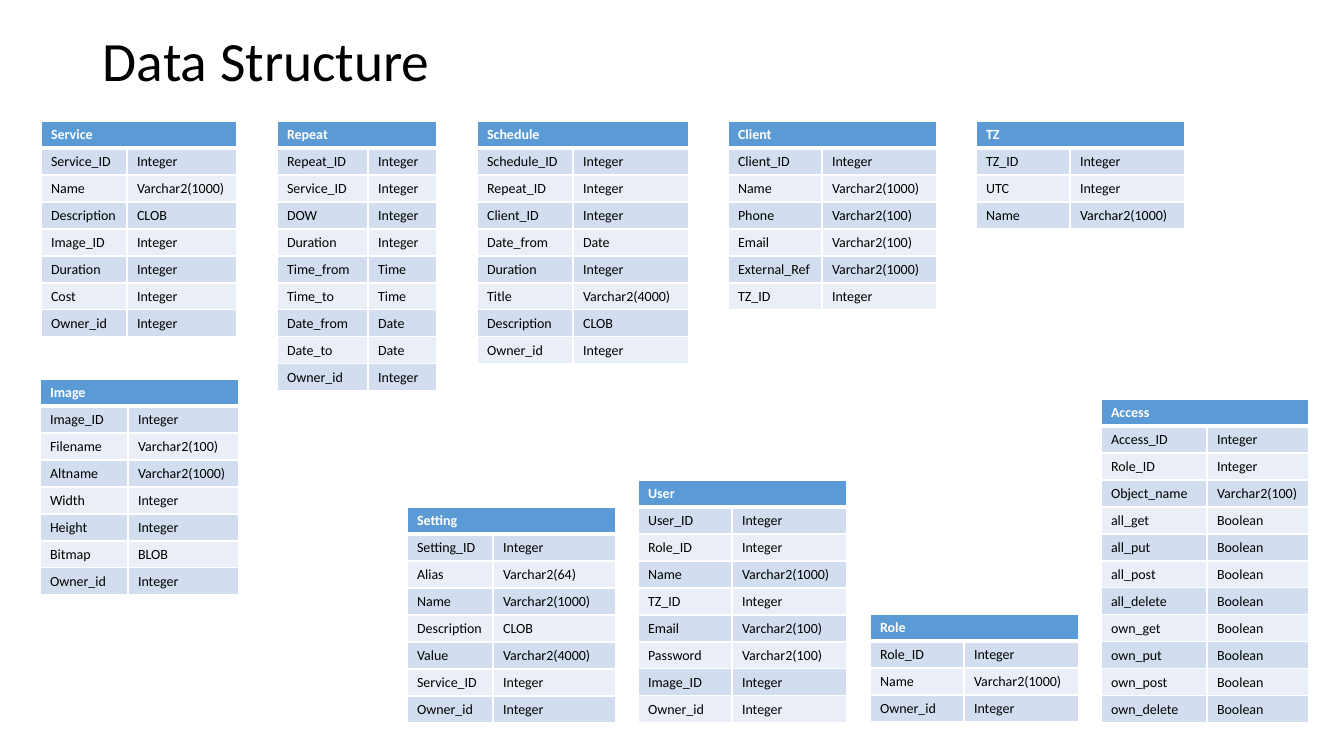
"""Build the Data Structure slide: a title and one table per database entity."""
import pptx
import pptx.dml.color
import pptx.enum.text
import pptx.oxml
import pptx.oxml.ns
import pptx.util

PX = 914400 / 100.8
ROW_HEIGHT = 27
HEADER, BANDS = "5B9BD5", ("D2DEEF", "EAEFF7")
WHITE, BLACK = "FFFFFF", "000000"


def px(value):
    return pptx.util.Emu(round(value * PX))


def rgb(value):
    return pptx.dml.color.RGBColor.from_string(value)


class Deck:
    def __init__(self, font):
        self.font = font
        self.prs = pptx.Presentation()
        self.prs.slide_width, self.prs.slide_height = px(1344), px(756)
        self.s = self.prs.slides.add_slide(self.prs.slide_layouts[6])

    def label(self, tf, text, color, size, bold=False):
        p = tf.paragraphs[0]
        r = p.add_run()
        r.text = text
        style = {"name": self.font, "size": pptx.util.Pt(size), "bold": bold}
        for key, value in style.items():
            setattr(r.font, key, value)
        r.font.color.rgb = rgb(color)
        return p

    def title(self, text, box):
        tf = self.s.shapes.add_textbox(*map(px, box)).text_frame
        tf.word_wrap = True
        tf.vertical_anchor = pptx.enum.text.MSO_ANCHOR.MIDDLE
        self.label(tf, text, BLACK, 39.6).line_spacing = 0.9

    def border(self, cell, bottom):
        tcPr = cell._tc.get_or_add_tcPr()
        ns = pptx.oxml.ns.nsdecls("a")
        for i, (side, width) in enumerate(zip("LRTB", (1, 1, 1, bottom))):
            tcPr.insert(i, pptx.oxml.parse_xml(
                f'<a:ln{side} {ns} w="{pptx.util.Pt(width)}"><a:solidFill>'
                f'<a:srgbClr val="{WHITE}"/></a:solidFill></a:ln{side}>'))

    def fill(self, cell, color, bottom=1):
        cell.fill.solid()
        cell.fill.fore_color.rgb = rgb(color)
        self.border(cell, bottom)

    def entity(self, name, left, top, widths, fields):
        rows = [field.split() for field in fields.split(", ")]
        count = len(rows) + 1
        box = (left, top, sum(widths), count * ROW_HEIGHT)
        table = self.s.shapes.add_table(count, 2, *map(px, box)).table
        for column, width in zip(table.columns, widths):
            column.width = px(width)
        for row in table.rows:
            row.height = px(ROW_HEIGHT)
        for cell in table.rows[0].cells:
            self.fill(cell, HEADER, bottom=3)
        table.cell(0, 0).merge(table.cell(0, 1))
        self.label(table.cell(0, 0).text_frame, name, WHITE, 10, bold=True)
        for i, row in enumerate(rows):
            for j, text in enumerate(row):
                cell = table.cell(i + 1, j)
                self.fill(cell, BANDS[i % 2])
                self.label(cell.text_frame, text, BLACK, 10)


TOP = 121
COMMON = (94, 115)
ENTITIES = [
    ("Service", 41, TOP, (86, 110),
     "Service_ID Integer, Name Varchar2(1000), Description CLOB, Image_ID Integer, "
     "Duration Integer, Cost Integer, Owner_id Integer"),
    ("Setting", 407, 507, (86, 123),
     "Setting_ID Integer, Alias Varchar2(64), Name Varchar2(1000), Description CLOB, "
     "Value Varchar2(4000), Service_ID Integer, Owner_id Integer"),
    ("Repeat", 277, TOP, (91, 69),
     "Repeat_ID Integer, Service_ID Integer, DOW Integer, Duration Integer, "
     "Time_from Time, Time_to Time, Date_from Date, Date_to Date, Owner_id Integer"),
    ("Schedule", 477, TOP, (96, 116),
     "Schedule_ID Integer, Repeat_ID Integer, Client_ID Integer, Date_from Date, "
     "Duration Integer, Title Varchar2(4000), Description CLOB, Owner_id Integer"),
    ("Image", 40, 379, (88, 111),
     "Image_ID Integer, Filename Varchar2(100), Altname Varchar2(1000), Width Integer, "
     "Height Integer, Bitmap BLOB, Owner_id Integer"),
    ("Client", 728, TOP, COMMON,
     "Client_ID Integer, Name Varchar2(1000), Phone Varchar2(100), "
     "Email Varchar2(100), External_Ref Varchar2(1000), TZ_ID Integer"),
    ("User", 638, 480, COMMON,
     "User_ID Integer, Role_ID Integer, Name Varchar2(1000), TZ_ID Integer, "
     "Email Varchar2(100), Password Varchar2(100), Image_ID Integer, Owner_id Integer"),
    ("TZ", 976, TOP, COMMON, "TZ_ID Integer, UTC Integer, Name Varchar2(1000)"),
    ("Access", 1101, 399, (106, 102),
     "Access_ID Integer, Role_ID Integer, Object_name Varchar2(100), "
     "all_get Boolean, all_put Boolean, all_post Boolean, all_delete Boolean, "
     "own_get Boolean, own_put Boolean, own_post Boolean, own_delete Boolean"),
    ("Role", 870, 614, COMMON,
     "Role_ID Integer, Name Varchar2(1000), Owner_id Integer"),
]

deck = Deck("Calibri")
deck.title("Data Structure", (93, 40, 1159, 48))
for entity in ENTITIES:
    deck.entity(*entity)
deck.prs.save("out.pptx")
